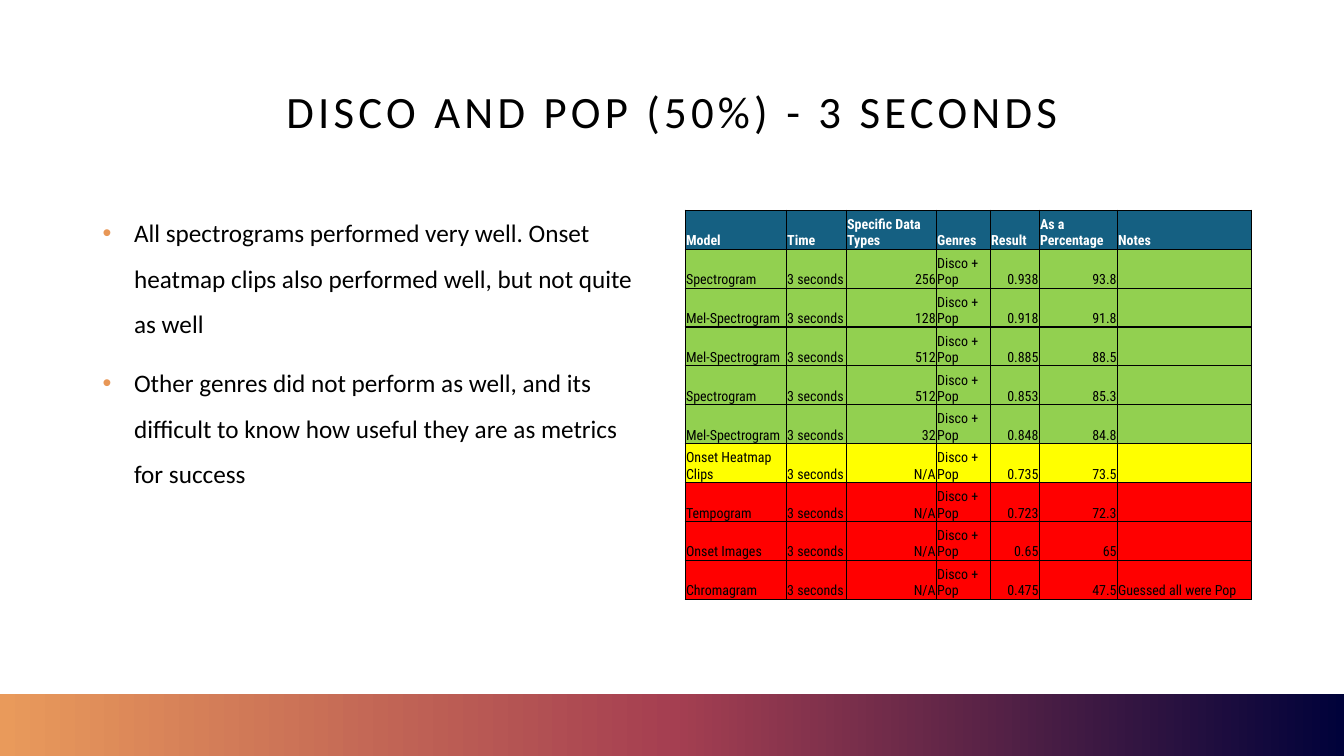
from lxml import etree
from pptx import Presentation
from pptx import util as u
from pptx.dml.color import RGBColor
from pptx.enum import shapes, text
from pptx.oxml import ns, parse_xml

WHITE, BLACK, ORANGE = "FFFFFF", "000000", "E89756"
BLUE, GREEN, YELLOW, RED = "156082", "92D050", "FFFF00", "FF0000"

HEADINGS = ["Model", "Time", "Specific Data Types", "Genres", "Result", "As a Percentage", "Notes"]
COLUMN_WIDTHS = [2.55, 1.51, 2.27, 1.36, 1.23, 1.97, 3.38]
NUMERIC_COLUMNS = {2, 4, 5}
RESULTS = [
    ("Spectrogram", "256", "0.938", "93.8", "", GREEN),
    ("Mel-Spectrogram", "128", "0.918", "91.8", "", GREEN),
    ("Mel-Spectrogram", "512", "0.885", "88.5", "", GREEN),
    ("Spectrogram", "512", "0.853", "85.3", "", GREEN),
    ("Mel-Spectrogram", "32", "0.848", "84.8", "", GREEN),
    ("Onset Heatmap Clips", "N/A", "0.735", "73.5", "", YELLOW),
    ("Tempogram", "N/A", "0.723", "72.3", "", RED),
    ("Onset Images", "N/A", "0.65", "65", "", RED),
    ("Chromagram", "N/A", "0.475", "47.5", "Guessed all were Pop", RED),
]
FINDINGS = [
    "All spectrograms performed very well. Onset heatmap clips also performed well, but not quite as well",
    "Other genres did not perform as well, and its difficult to know how useful they are as metrics for success",
]


def color(value):
    return RGBColor.from_string(value)


def cm(*lengths):
    return [u.Cm(length) for length in lengths]


class SlideBuilder:
    body_font = "Calibri"
    table_font = "Roboto Condensed"

    def __init__(self, prs):
        self.slide = prs.slides.add_slide(prs.slide_layouts[5])

    def format_runs(self, paragraph, font, size, ink=BLACK, bold=False):
        for run in paragraph.runs:
            run.font.name = font
            run.font.size = u.Pt(size)
            run.font.bold = bold
            run.font.color.rgb = color(ink)

    def gradient_bar(self, box, stops):
        """Draw a bar whose (position, colour) stops run from left to right."""
        bar = self.slide.shapes.add_shape(shapes.MSO_SHAPE.RECTANGLE, *cm(*box))
        bar.shadow.inherit = False
        bar.line.fill.background()
        bar.fill.gradient()
        bar.fill.gradient_angle = 0
        stop_list = bar.element.spPr.find(".//" + ns.qn("a:gsLst"))
        for old_stop in list(stop_list):
            stop_list.remove(old_stop)
        for position, shade in stops:
            stop = etree.SubElement(stop_list, ns.qn("a:gs"), pos=str(position * 1000))
            etree.SubElement(stop, ns.qn("a:srgbClr"), val=shade)

    def title(self, box, wording):
        heading = self.slide.shapes.title
        heading.left, heading.top, heading.width, heading.height = cm(*box)
        frame = heading.text_frame
        frame.text = wording
        frame.word_wrap = True
        frame.vertical_anchor = text.MSO_ANCHOR.MIDDLE
        line = frame.paragraphs[0]
        line.alignment = text.PP_ALIGN.CENTER
        line.line_spacing = 0.9
        self.format_runs(line, self.body_font, 32)
        line.runs[0].font._element.set("spc", "300")

    def bullets(self, box, points):
        frame = self.slide.shapes.add_textbox(*cm(*box)).text_frame
        frame.word_wrap = True
        frame.text = "\n".join(points)
        for index, point in enumerate(frame.paragraphs):
            point.line_spacing = 1.5
            if index:
                point.space_before = u.Pt(10)
            props = point._p.get_or_add_pPr()
            indent = u.Cm(0.79)
            props.set("marL", str(indent))
            props.set("indent", str(-indent))
            bullet_color = etree.SubElement(props, ns.qn("a:buClr"))
            etree.SubElement(bullet_color, ns.qn("a:srgbClr"), val=ORANGE)
            etree.SubElement(props, ns.qn("a:buFont"), typeface="Arial")
            etree.SubElement(props, ns.qn("a:buChar"), char="•")
            self.format_runs(point, self.body_font, 18)

    def cell_borders(self, cell):
        props = cell._tc.get_or_add_tcPr()
        for side in "LRTB":
            props.append(parse_xml(
                f'<a:ln{side} {ns.nsdecls("a")} w="12700"><a:solidFill>'
                f'<a:srgbClr val="{BLACK}"/></a:solidFill></a:ln{side}>'))

    def cell(self, cell, wording, fill, ink, bold, align):
        cell.margin_left = cell.margin_right = cell.margin_top = u.Cm(0.02)
        cell.margin_bottom = 0
        cell.vertical_anchor = text.MSO_ANCHOR.BOTTOM
        self.cell_borders(cell)
        cell.fill.solid()
        cell.fill.fore_color.rgb = color(fill)
        if wording:
            cell.text_frame.text = wording
            line = cell.text_frame.paragraphs[0]
            line.alignment = align
            self.format_runs(line, self.table_font, 10, ink, bold)

    def table(self, left, top, row_height, widths, rows):
        """Draw rows of (fill, wordings), the first being the header."""
        size = cm(left, top, sum(widths), row_height * len(rows))
        grid = self.slide.shapes.add_table(len(rows), len(widths), *size).table
        grid.horz_banding = False
        for column, width in zip(grid.columns, widths):
            column.width = u.Cm(width)
        for r, (fill, wordings) in enumerate(rows):
            grid.rows[r].height = u.Cm(row_height)
            header = r == 0
            for c, wording in enumerate(wordings):
                numeric = c in NUMERIC_COLUMNS and not header
                align = text.PP_ALIGN.RIGHT if numeric else text.PP_ALIGN.LEFT
                self.cell(grid.cell(r, c), wording, fill, WHITE if header else BLACK, header, align)


def main():
    prs = Presentation()
    prs.slide_width, prs.slide_height = cm(33.87, 19.05)
    page = SlideBuilder(prs)
    page.gradient_bar((0, 17.5, 33.87, 1.55), [(0, "E99A5B"), (50, "A53F51"), (100, "00023A")])
    page.title((2.34, 1.02, 29.21, 3.68), "DISCO AND POP (50%) - 3 SECONDS")
    page.bullets((2.34, 4.98, 14.25, 11.43), FINDINGS)
    rows = [(BLUE, HEADINGS)]
    for model, data_type, result, percentage, notes, fill in RESULTS:
        rows.append((fill, [model, "3 seconds", data_type, "Disco + Pop", result, percentage, notes]))
    page.table(17.27, 5.3, 0.98, COLUMN_WIDTHS, rows)
    prs.save("out.pptx")


if __name__ == "__main__":
    main()
